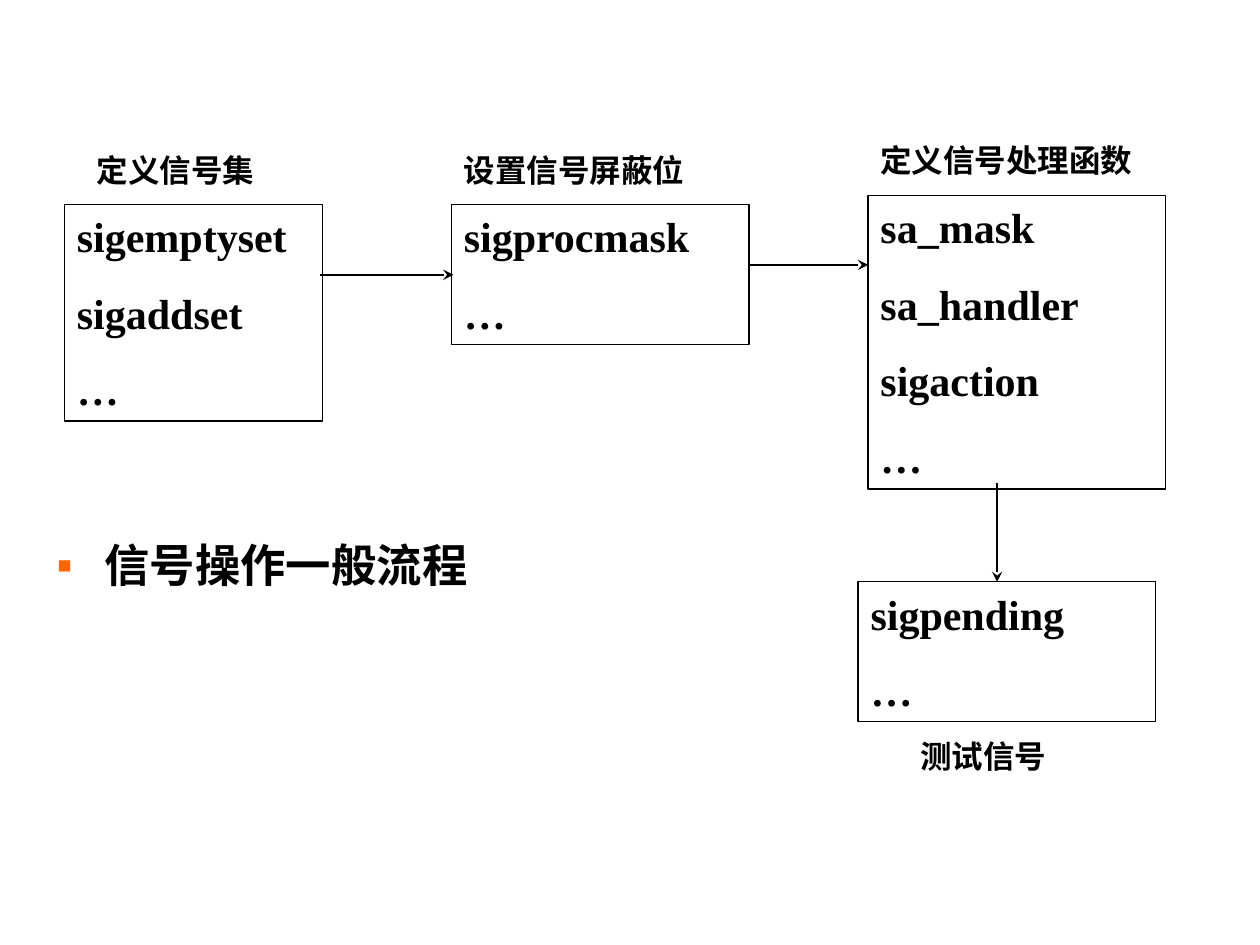
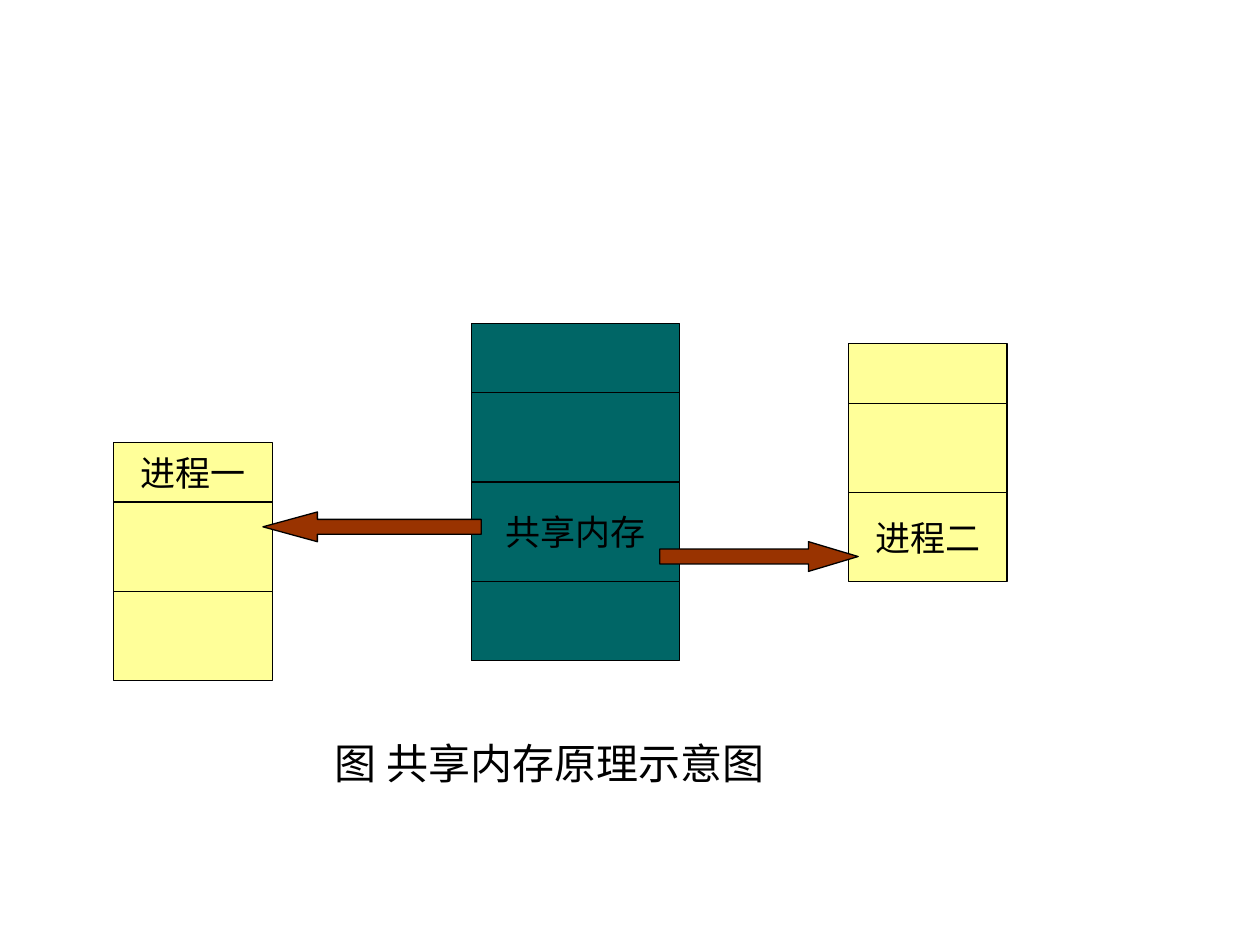
from itertools import accumulate

from lxml import etree
from pptx import Presentation
from pptx.dml.color import RGBColor
from pptx.enum.shapes import MSO_CONNECTOR, MSO_SHAPE
from pptx.enum.text import MSO_ANCHOR, MSO_AUTO_SIZE, PP_ALIGN
from pptx.oxml.ns import qn
from pptx.util import Inches, Mm, Pt

RECTANGLE, RIGHT_ARROW = MSO_SHAPE.RECTANGLE, MSO_SHAPE.RIGHT_ARROW
STRAIGHT = MSO_CONNECTOR.STRAIGHT
TOP, MIDDLE = MSO_ANCHOR.TOP, MSO_ANCHOR.MIDDLE
LEFT, CENTER = PP_ALIGN.LEFT, PP_ALIGN.CENTER
FIXED_SIZE = MSO_AUTO_SIZE.NONE
CONTENT_LAYOUT, BLANK_LAYOUT = 1, 6
COLORS = {
    "ink": "000000",
    "bullet": "FF6600",
    "process": "FFFF99",
    "memory": "006666",
    "arrow": "993300",
}
SERIF, SANS = "Times New Roman", "Arial"


def grid(*cells):
    return [Mm(2 * cell) for cell in cells]


def color(name):
    return RGBColor.from_string(COLORS[name])


class Deck:
    """Slides drawn on a grid of 127 columns, in one shared style."""

    def __init__(self):
        self.deck = Presentation()
        self.deck.slide_width, self.deck.slide_height = Inches(10), Inches(7.5)
        self.page = None

    def add_page(self, layout):
        self.page = self.deck.slides.add_slide(self.deck.slide_layouts[layout])
        if self.page.shapes.title is not None:
            title = self.page.shapes.title.element
            title.getparent().remove(title)

    def add_lines(self, box, lines, size, bold=False, font=SERIF, before=0, align=LEFT, anchor=TOP, wrap=True):
        frame = box.text_frame
        frame.auto_size, frame.word_wrap = FIXED_SIZE, wrap
        frame.vertical_anchor = anchor
        for index, line in enumerate(lines):
            para = frame.add_paragraph() if index else frame.paragraphs[0]
            para.alignment, para.space_before = align, Pt(before)
            span = para.add_run()
            span.text = line
            span.font.name, span.font.size, span.font.bold = font, Pt(size), bold
            span.font.color.rgb = color("ink")

    def bullet(self, text, place):
        body = self.page.placeholders[1]
        body.left, body.top, body.width, body.height = grid(*place)
        self.add_lines(body, [text], 25.9, bold=True, font=SANS, before=7)
        para = body.text_frame.paragraphs[0]
        para.line_spacing = 0.8
        properties = para._p.get_or_add_pPr()
        properties.set("marL", str(Inches(0.38)))
        properties.set("indent", str(Inches(-0.38)))
        bullet_color = etree.SubElement(properties, qn("a:buClr"))
        etree.SubElement(bullet_color, qn("a:srgbClr"), val=COLORS["bullet"])
        etree.SubElement(properties, qn("a:buFont"), typeface=SANS)
        etree.SubElement(properties, qn("a:buChar"), char="▪")

    def label(self, text, place, size=18, bold=True, before=11.2):
        box = self.page.shapes.add_textbox(*grid(*place))
        self.add_lines(box, [text], size, bold=bold, before=before)

    def shape(self, kind, place, fill=None, shapes=None):
        box = (shapes or self.page.shapes).add_shape(kind, *grid(*place))
        box.shadow.inherit = False
        if fill:
            box.fill.solid()
            box.fill.fore_color.rgb = color(fill)
        else:
            box.fill.background()
        box.line.color.rgb, box.line.width = color("ink"), Pt(0.75)
        return box

    def call_box(self, calls, left, top, width=30):
        box = self.shape(RECTANGLE, (left, top, width, 7.75 * len(calls) - 1.4))
        self.add_lines(box, calls, 24, bold=True, before=15)

    def flow_arrow(self, *ends):
        line = self.page.shapes.add_connector(STRAIGHT, *grid(*ends))
        line.line.color.rgb, line.line.width = color("ink"), Pt(1.25)
        etree.SubElement(line.line._get_or_add_ln(), qn("a:tailEnd"), type="stealth")
        etree.SubElement(line.element.spPr, qn("a:effectLst"))

    def memory_stack(self, left, top, width, heights, fill, named, name):
        shapes = self.page.shapes.add_group_shape().shapes
        offsets = accumulate(heights, initial=0)
        for index, (offset, height) in enumerate(zip(offsets, heights)):
            # placeholder
            box = self.shape(RECTANGLE, (left, top + offset, width, height), fill, shapes)
            if index == named:
                self.add_lines(box, [name], 20, align=CENTER, anchor=MIDDLE, wrap=False)

    def block_arrow(self, place, head, rotation=0):
        arrow = self.shape(RIGHT_ARROW, place, "arrow")
        arrow.adjustments[0], arrow.adjustments[1] = 0.5, head
        arrow.rotation = rotation


def signal_flow(deck):
    deck.add_page(CONTENT_LAYOUT)
    deck.bullet("信号操作一般流程", (4.45, 54.6, 75, 6))
    deck.call_box(["sigemptyset", "sigaddset", "…"], 6.5, 20.6, 26)
    deck.call_box(["sigprocmask", "…"], 45.5, 20.6)
    deck.call_box(["sa_mask", "sa_handler", "sigaction", "…"], 87.5, 19.7)
    deck.call_box(["sigpending", "…"], 86.5, 58.65)
    deck.flow_arrow(32.3, 27.7, 45.7, 27.7)
    deck.flow_arrow(75.5, 26.7, 87.5, 26.7)
    deck.flow_arrow(100.5, 48.65, 100.5, 58.65)
    for text, left, top, width in (
        ("定义信号集", 8.5, 14.6, 27),
        ("设置信号屏蔽位", 45.5, 14.6, 29),
        ("定义信号处理函数", 87.5, 13.6, 30),
        ("测试信号", 91.5, 73.7, 17),
    ):
        deck.label(text, (left, top, width, 5.1))


def shared_memory(deck):
    deck.add_page(BLANK_LAYOUT)
    process_heights = (6, 9, 9)
    deck.memory_stack(11.45, 44.6, 16, process_heights, "process", 0, "进程一")
    deck.memory_stack(85.5, 34.65, 16, process_heights, "process", 2, "进程二")
    deck.memory_stack(47.5, 32.6, 21, (7, 9, 10, 8), "memory", 2, "共享内存")
    deck.block_arrow((66.5, 54.6, 20, 3), 1.67)
    deck.block_arrow((26.5, 51.6, 22, 3), 1.83, rotation=180)
    deck.label("图 共享内存原理示意图", (32.5, 73.7, 58, 6.35), size=24, bold=False, before=15)


def main():
    deck = Deck()
    signal_flow(deck)
    shared_memory(deck)
    deck.deck.save("out.pptx")


if __name__ == "__main__":
    main()
